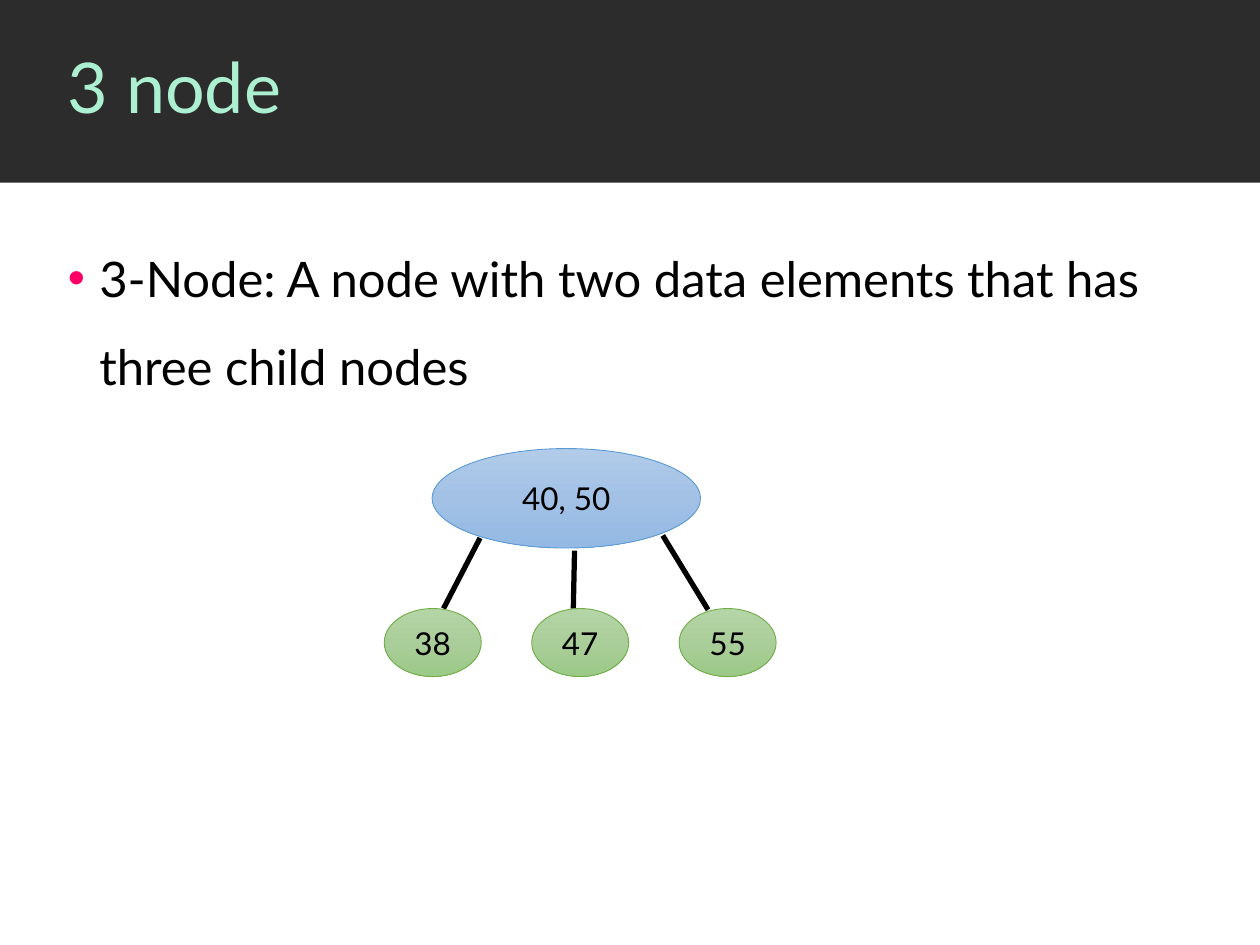
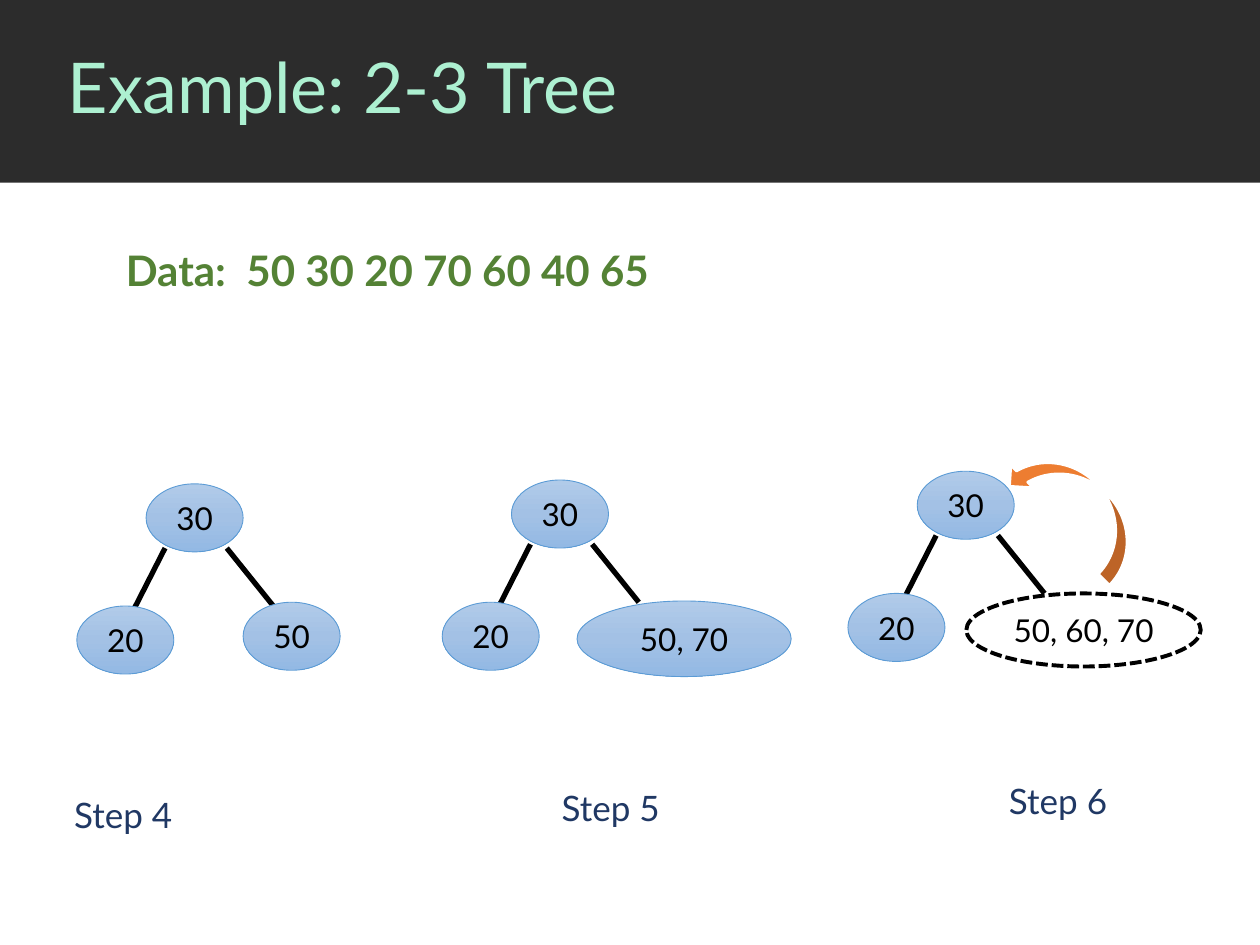
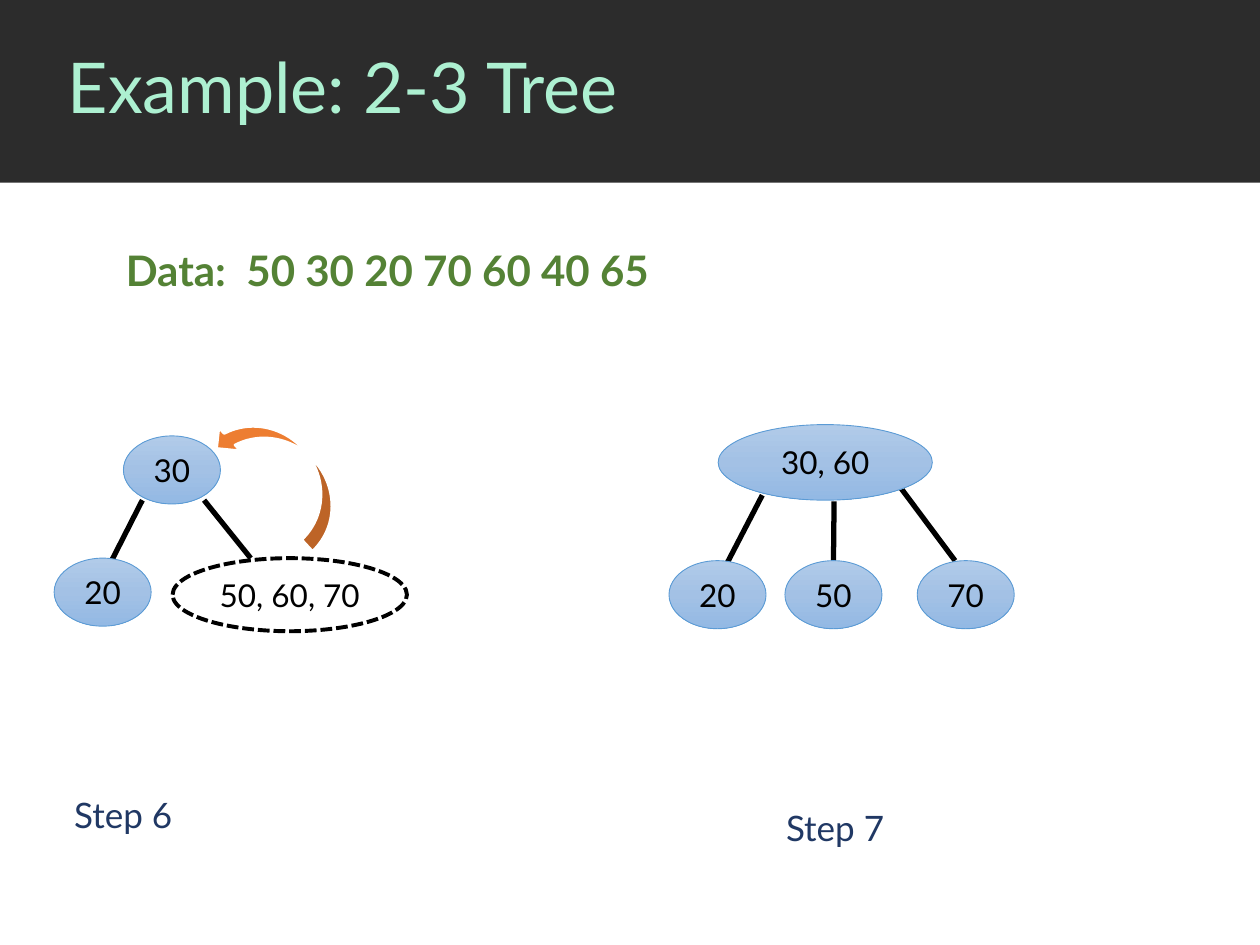
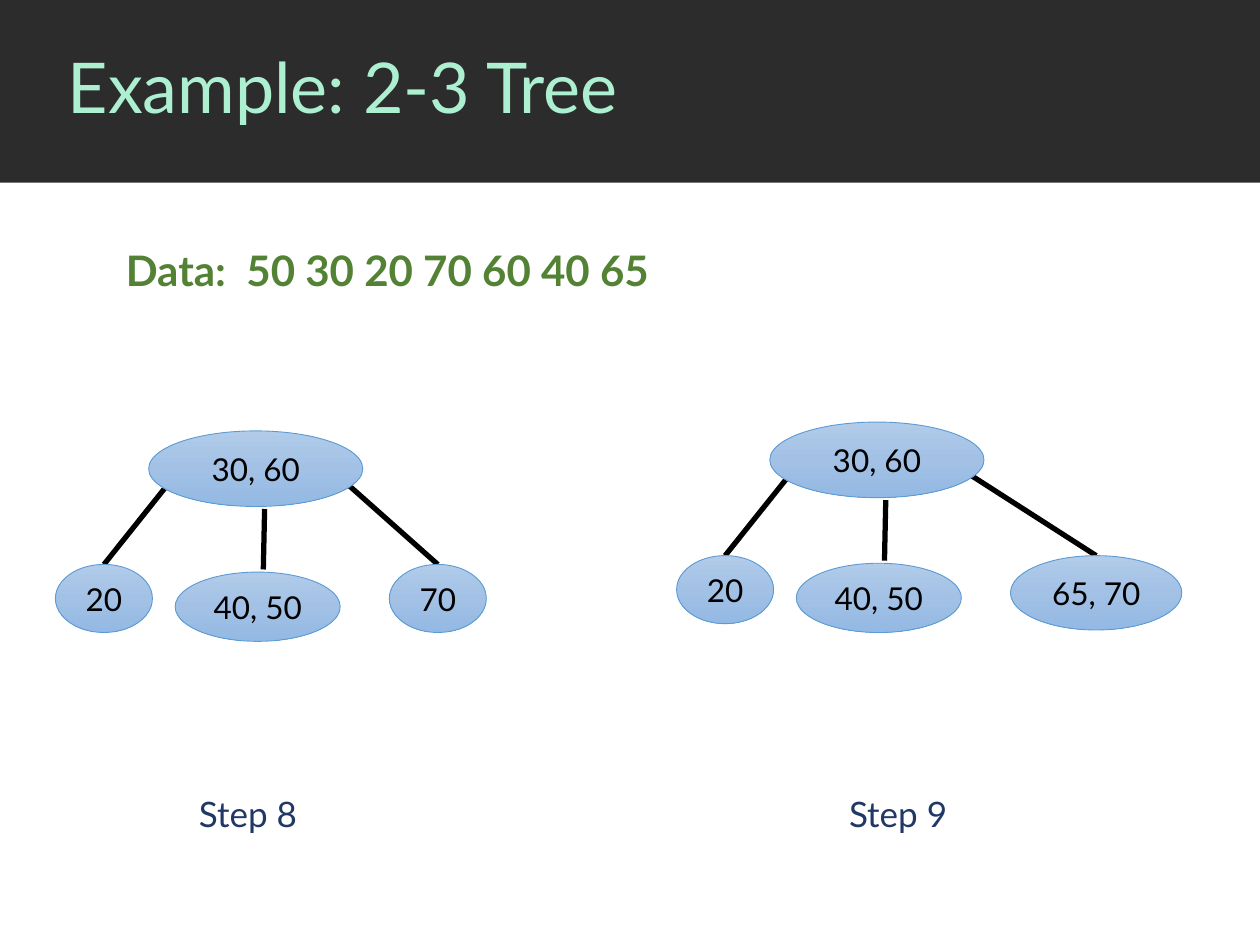
"""Build four slides that explain 3-nodes and insertion into a 2-3 tree."""
from dataclasses import dataclass
from typing import Optional

import lxml.etree
import pptx
import pptx.dml.color
import pptx.enum.dml
import pptx.enum.shapes
import pptx.enum.text
import pptx.oxml.ns
import pptx.shapes.autoshape
import pptx.slide
import pptx.text.text
import pptx.util

PX = 9144
FONT = "Lato"
COLORS = {
    "band": "2C2C2C", "title": "ADF0D1", "bullet": "FF0066", "text": "000000",
    "data": "548235", "step": "203864", "white": "FFFFFF", "arrow": "ED7D31",
    "blue line": "5B9BD5", "blue top": "B1CBE9", "blue mid": "A3C1E5", "blue end": "93B9E4",
    "green line": "70AD47", "green top": "B5D5A7", "green mid": "AACE9A", "green end": "9CC987",
}
SMALL = (77, 54)
WIDE = (170, 60)
PAIR = (131, 55)


@dataclass(frozen=True)
class Style:
    """Look of a run of text."""
    size: int
    color: str
    bold: bool = False


@dataclass(frozen=True)
class Node:
    """Tree node placed relative to the top left corner of the root."""
    label: str
    x: int = 0
    y: int = 0
    size: tuple[int, int] = SMALL
    kind: str = "blue"


@dataclass(frozen=True)
class Edge:
    """Branch relative to the root, joined to the top of a child if one is given."""
    start: tuple[int, int]
    end: tuple[int, int]
    child: Optional[int] = None


@dataclass(frozen=True)
class Tree:
    """Nodes, root first, and the branches between them."""
    nodes: tuple[Node, ...]
    edges: tuple[Edge, ...]


@dataclass(frozen=True)
class Step:
    """A tree at the place of its root, with its caption and promotion arrow."""
    tree: Tree
    x: int
    y: int
    caption: str
    caption_x: int
    caption_y: int
    arrow_angle: Optional[float] = None


TITLE = Style(40, "title")
BODY = Style(28, "text")
DATA = Style(24, "data", True)
CAPTION = Style(20, "step")
NODE = Style(18, "text")

TWO_EDGES = (Edge((64, 51), (101, 97)), Edge((15, 51), (-14, 108)))


def two_way(right: Node) -> Tree:
    """Return the tree of root 30 and left child 20 with the given right child."""
    return Tree((Node("30"), Node("20", -55, 97), right), TWO_EDGES)


def three_way(right: Node) -> Tree:
    """Return the tree of root 30, 60 that ends in the given right child."""
    nodes = (Node("30, 60", size=WIDE), Node("20", -74, 106),
             Node("40, 50", 21, 112, PAIR), right)
    edges = (Edge((153, 38), (230, 106), 3), Edge((14, 44), (-36, 106), 1),
             Edge((92, 62), (91, 110)))
    return Tree(nodes, edges)


THREE_NODE = Tree(
    (Node("40, 50", size=(213, 79)),
     *(Node(label, -38 + 117 * i, 127, kind="green")
       for i, label in enumerate(("38", "47", "55")))),
    (Edge((183, 69), (219, 128)), Edge((113, 81), (112, 127)), Edge((38, 71), (9, 127))),
)
SPLIT_ROOT = Tree(
    (Node("30, 60", size=WIDE), Node("20", -39, 108), Node("50", 53, 108), Node("70", 158, 108)),
    (Edge((141, 45), (188, 108)), Edge((35, 56), (6, 112)), Edge((92, 61), (92, 108), 2)),
)
OVERFULL = two_way(Node("50, 60, 70", 39, 97, (186, 58), "dashed"))

EXAMPLES = (
    (Step(two_way(Node("50", 77, 94)), 116, 384, "Step 4", 49, 625),
     Step(two_way(Node("50, 70", 52, 96, WIDE)), 406, 381, "Step 5", 436, 619),
     Step(OVERFULL, 728, 374, "Step 6", 791, 614, 224.7)),
    (Step(OVERFULL, 98, 346, "Step 6", 49, 625, 227),
     Step(SPLIT_ROOT, 570, 337, "Step 7", 614, 635)),
    (Step(three_way(Node("70", 191, 106)), 118, 342, "Step 8", 148, 624),
     Step(three_way(Node("65, 70", 191, 106, (136, 59))), 611, 335, "Step 9", 664, 624)),
)


def rgb(name: str) -> pptx.dml.color.RGBColor:
    """Return a named colour."""
    return pptx.dml.color.RGBColor.from_string(COLORS[name])


def add_child(parent, tag: str, **attributes: str):
    """Append an XML element and return it."""
    return lxml.etree.SubElement(parent, pptx.oxml.ns.qn(tag), attributes)


def write(p: pptx.text.text._Paragraph, text: str, style: Style) -> None:
    """Add one styled run to a paragraph."""
    r = p.add_run()
    r.text = text
    r.font.name = FONT
    r.font.size = pptx.util.Pt(style.size)
    r.font.bold = style.bold
    r.font.color.rgb = rgb(style.color)


def add_text(s: pptx.slide.Slide, box: tuple[int, int, int, int], text: str, style: Style,
             wrap: bool = True, grow: bool = False) -> pptx.text.text.TextFrame:
    """Add a text box with one paragraph."""
    tf = s.shapes.add_textbox(*(v * PX for v in box)).text_frame
    tf.word_wrap = wrap
    if grow:
        tf.auto_size = pptx.enum.text.MSO_AUTO_SIZE.SHAPE_TO_FIT_TEXT
    write(tf.paragraphs[0], text, style)
    return tf


def add_shape(s: pptx.slide.Slide, kind: pptx.enum.shapes.MSO_SHAPE,
              box: tuple[int, int, int, int], fill: str) -> pptx.shapes.autoshape.Shape:
    """Add a plain filled shape without shadow or outline."""
    sp = s.shapes.add_shape(kind, *(v * PX for v in box))
    sp.shadow.inherit = False
    sp.fill.solid()
    sp.fill.fore_color.rgb = rgb(fill)
    sp.line.fill.background()
    return sp


def set_line(line, color: str, width: float) -> None:
    """Give a line its colour and width in points."""
    line.color.rgb = rgb(color)
    line.width = pptx.util.Pt(width)


def shade(sp: pptx.shapes.autoshape.Shape, kind: str) -> None:
    """Fill a shape from top to bottom with the three tones of its kind."""
    sp.fill.gradient()
    sp.fill.gradient_angle = 270
    stops = sp.fill._xPr.find(".//" + pptx.oxml.ns.qn("a:gsLst"))
    stops.clear()
    for position, tone in ((0, "top"), (50, "mid"), (100, "end")):
        stop = add_child(stops, "a:gs", pos=str(position * 1000))
        add_child(stop, "a:srgbClr", val=COLORS[f"{kind} {tone}"])


def add_node(s: pptx.slide.Slide, node: Node, x: int, y: int) -> pptx.shapes.autoshape.Shape:
    """Draw a node of the tree whose root is at x, y."""
    sp = add_shape(s, pptx.enum.shapes.MSO_SHAPE.OVAL,
                   (x + node.x, y + node.y, *node.size), "white")
    if node.kind == "dashed":
        set_line(sp.line, "text", 2.25)
        sp.line.dash_style = pptx.enum.dml.MSO_LINE.SQUARE_DOT
    else:
        shade(sp, node.kind)
        set_line(sp.line, f"{node.kind} line", 0.5)
    tf = sp.text_frame
    tf.vertical_anchor = pptx.enum.text.MSO_ANCHOR.MIDDLE
    p = tf.paragraphs[0]
    p.alignment = pptx.enum.text.PP_ALIGN.CENTER
    write(p, node.label, NODE)
    return sp


def add_tree(s: pptx.slide.Slide, tree: Tree, x: int, y: int) -> None:
    """Draw a tree with its root at x, y."""
    nodes = [add_node(s, node, x, y) for node in tree.nodes]
    for edge in tree.edges:
        (x1, y1), (x2, y2) = edge.start, edge.end
        branch = s.shapes.add_connector(
            pptx.enum.shapes.MSO_CONNECTOR.STRAIGHT,
            (x + x1) * PX, (y + y1) * PX, (x + x2) * PX, (y + y2) * PX)
        set_line(branch.line, "text", 3)
        add_child(branch._element.spPr, "a:effectLst")
        if edge.child is not None:
            branch.end_connect(nodes[edge.child], 0)
        s.shapes._spTree.remove(branch._element)
        nodes[0]._element.addprevious(branch._element)


def add_step(s: pptx.slide.Slide, step: Step) -> None:
    """Draw one insertion step with its caption."""
    add_tree(s, step.tree, step.x, step.y)
    if step.arrow_angle is not None:
        arrow = add_shape(s, pptx.enum.shapes.MSO_SHAPE.CURVED_UP_ARROW,
                          (step.x + 64, step.y + 4, 124, 50), "arrow")
        set_line(arrow.line, "white", 1.5)
        arrow.rotation = step.arrow_angle
    add_text(s, (step.caption_x, step.caption_y, 114, 44), step.caption, CAPTION, grow=True)


def add_slide(prs: pptx.presentation.Presentation, title: str) -> pptx.slide.Slide:
    """Add a blank slide with the title band."""
    s = prs.slides.add_slide(prs.slide_layouts[6])
    add_shape(s, pptx.enum.shapes.MSO_SHAPE.RECTANGLE, (0, 0, 1000, 145), "band")
    tf = add_text(s, (44, 0, 956, 144), title, TITLE)
    tf.vertical_anchor = pptx.enum.text.MSO_ANCHOR.MIDDLE
    tf.paragraphs[0].line_spacing = 0.9
    return s


def add_definition(s: pptx.slide.Slide, text: str) -> None:
    """Add the bulleted definition."""
    p = add_text(s, (44, 169, 933, 560), text, BODY).paragraphs[0]
    p.line_spacing = 1.5
    pPr = p._p.get_or_add_pPr()
    pPr.set("marL", str(25 * PX))
    pPr.set("indent", str(-25 * PX))
    add_child(add_child(pPr, "a:buClr"), "a:srgbClr", val=COLORS["bullet"])
    add_child(pPr, "a:buFont", typeface="Arial")
    add_child(pPr, "a:buChar", char="•")


def main() -> None:
    """Build and save the presentation."""
    prs = pptx.Presentation()
    prs.slide_width, prs.slide_height = 1000 * PX, 750 * PX
    s = add_slide(prs, "3 node")
    add_definition(s, "3-Node: A node with two data elements that has three child nodes")
    add_tree(s, THREE_NODE, 343, 356)
    for steps in EXAMPLES:
        s = add_slide(prs, "Example: 2-3 Tree")
        add_text(s, (90, 189, 441, 50), "Data:  50 30 20 70 60 40 65", DATA, wrap=False, grow=True)
        for step in steps:
            add_step(s, step)
    prs.save("out.pptx")


if __name__ == "__main__":
    main()
